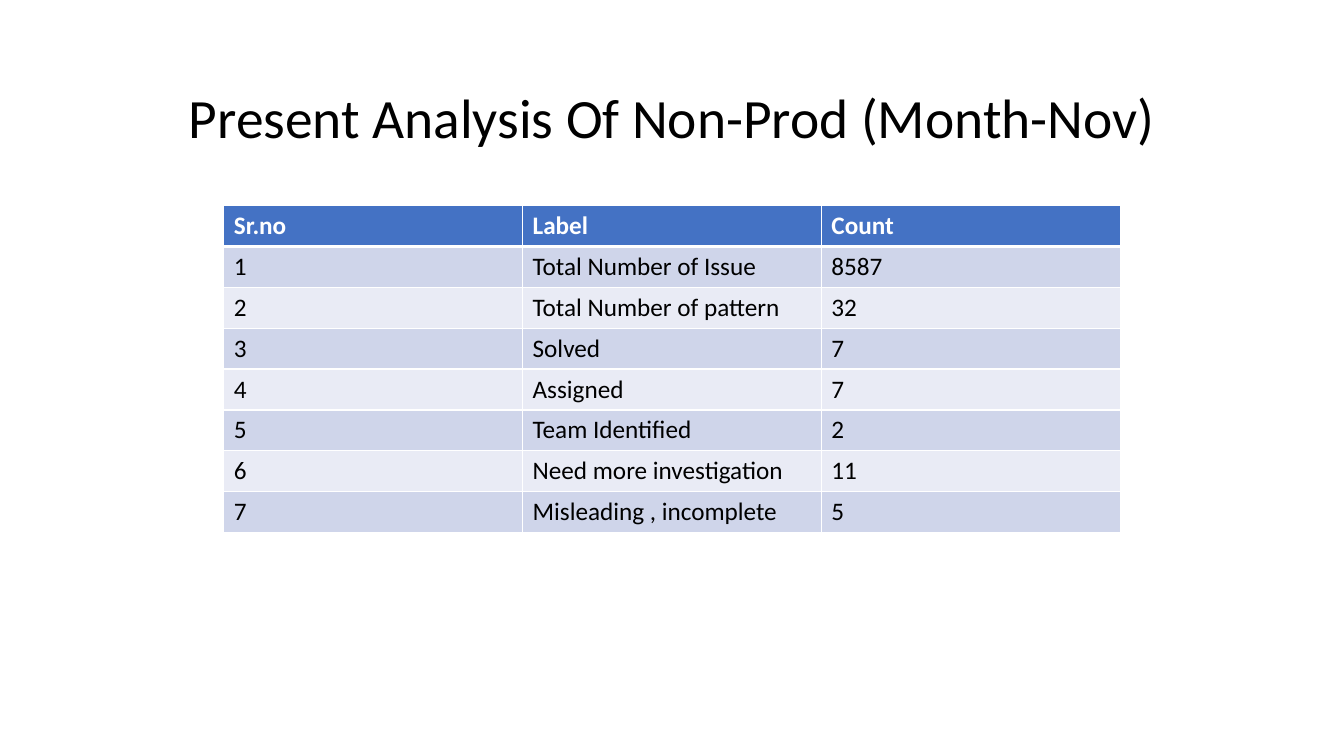
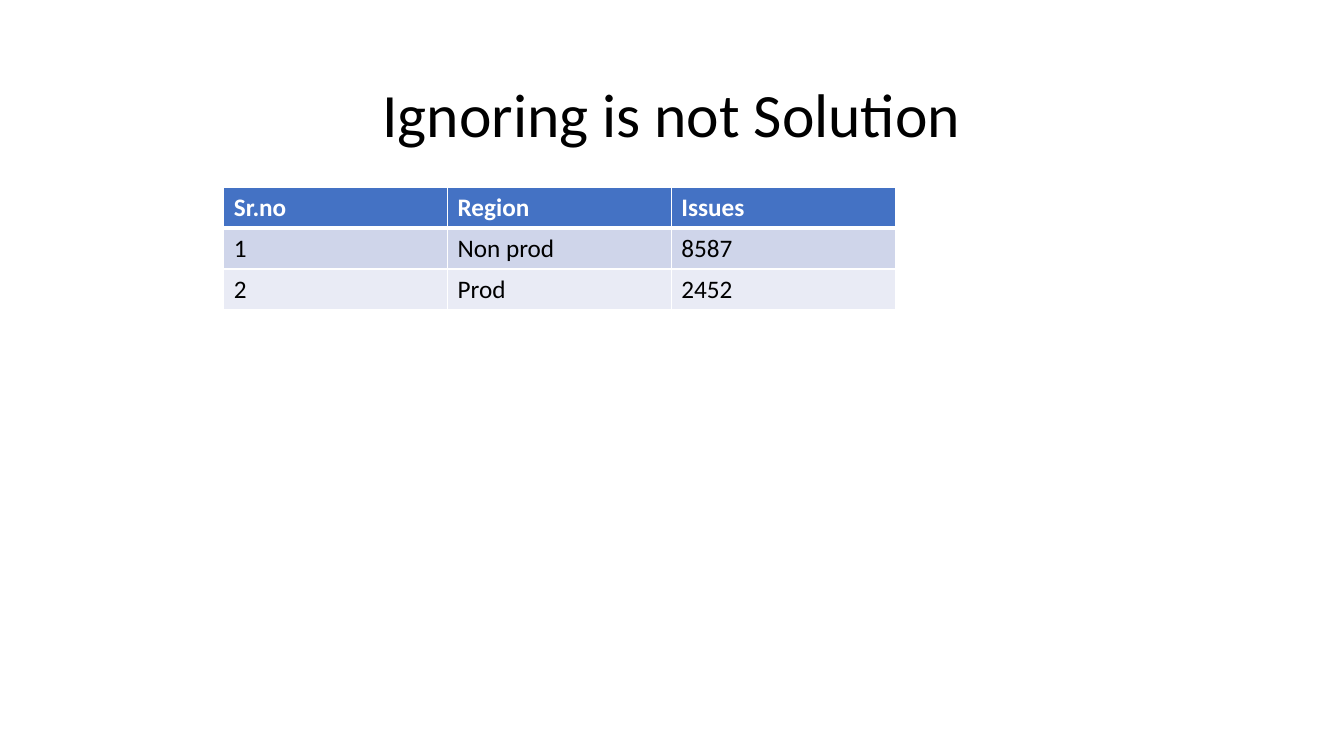
from dataclasses import dataclass

from lxml import etree
from pptx import Presentation
from pptx import util as u
from pptx.dml.color import RGBColor
from pptx.enum import text
from pptx.oxml import ns

FONT = "Calibri"
BLACK = RGBColor(0x00, 0x00, 0x00)
WHITE = RGBColor(0xFF, 0xFF, 0xFF)
HEADER_BLUE = RGBColor(0x44, 0x72, 0xC4)
BANDS = (RGBColor(0xCF, 0xD5, 0xEA), RGBColor(0xE9, 0xEB, 0xF5))

TABLE_LEFT = u.Cm(5.64)
ROW_HEIGHT = u.Cm(1.03)
THIN, THICK = u.Pt(1), u.Pt(3)


@dataclass(frozen=True)
class TableSlide:
    title: str
    title_size: float
    top: float  # cm
    col_width: float  # cm
    header: tuple[str, ...]
    rows: tuple[tuple[str, str], ...]  # numbered from 1 when drawn


SLIDES = (
    TableSlide(
        "Present Analysis Of Non-Prod (Month-Nov)", 39.6, 5.18, 7.53,
        ("Sr.no", "Label", "Count"),
        (
            ("Total Number of Issue", "8587"),
            ("Total Number of pattern", "32"),
            ("Solved", "7"),
            ("Assigned", "7"),
            ("Team Identified", "2"),
            ("Need more investigation", "11"),
            ("Misleading , incomplete", "5"),
        ),
    ),
    TableSlide(
        "Ignoring is not Solution", 44, 4.72, 5.64,
        ("Sr.no", "Region", "Issues"),
        (("Non prod", "8587"), ("Prod", "2452")),
    ),
)


def set_font(p, size: float, color: RGBColor, bold: bool = False) -> None:
    p.font.name = FONT
    p.font.size = u.Pt(size)
    p.font.bold = bold
    p.font.color.rgb = color


def add_title(s, title: str, size: float) -> None:
    sp = s.shapes.title
    sp.left, sp.top = u.Cm(4.23), u.Cm(0.69)
    sp.width, sp.height = u.Cm(25.4), u.Cm(3.23)
    tf = sp.text_frame
    tf.text = title
    tf.word_wrap = True
    tf.auto_size = text.MSO_AUTO_SIZE.NONE
    tf.vertical_anchor = text.MSO_ANCHOR.BOTTOM
    p = tf.paragraphs[0]
    p.alignment = text.PP_ALIGN.CENTER
    p.line_spacing = 0.9
    set_font(p, size, BLACK)


def set_borders(cell, top: int, bottom: int) -> None:
    """White cell borders; call before the fill is set."""
    tc_pr = cell._tc.get_or_add_tcPr()
    for side, width in (("L", THIN), ("R", THIN), ("T", top), ("B", bottom)):
        ln = etree.SubElement(tc_pr, ns.qn(f"a:ln{side}"), w=str(int(width)))
        fill = etree.SubElement(ln, ns.qn("a:solidFill"))
        etree.SubElement(fill, ns.qn("a:srgbClr"), val=str(WHITE))


def add_table(s, data: TableSlide) -> None:
    numbered = [(str(i), *row) for i, row in enumerate(data.rows, 1)]
    grid = [data.header, *numbered]
    cols = len(data.header)
    tbl = s.shapes.add_table(
        len(grid), cols, TABLE_LEFT, u.Cm(data.top),
        u.Cm(data.col_width) * cols, ROW_HEIGHT * len(grid),
    ).table
    for r, values in enumerate(grid):
        is_header = r == 0
        for c, value in enumerate(values):
            cell = tbl.cell(r, c)
            # The thick rule lies between the header and the first row
            set_borders(cell, THICK if r == 1 else THIN, THICK if is_header else THIN)
            cell.fill.solid()
            cell.fill.fore_color.rgb = HEADER_BLUE if is_header else BANDS[(r - 1) % 2]
            cell.text = value
            set_font(cell.text_frame.paragraphs[0], 18,
                     WHITE if is_header else BLACK, is_header)


def main() -> None:
    prs = Presentation()
    prs.slide_width, prs.slide_height = u.Cm(33.87), u.Cm(19.05)
    title_only = prs.slide_layouts[5]
    for data in SLIDES:
        s = prs.slides.add_slide(title_only)
        add_title(s, data.title, data.title_size)
        add_table(s, data)
    prs.save("out.pptx")


if __name__ == "__main__":
    main()
